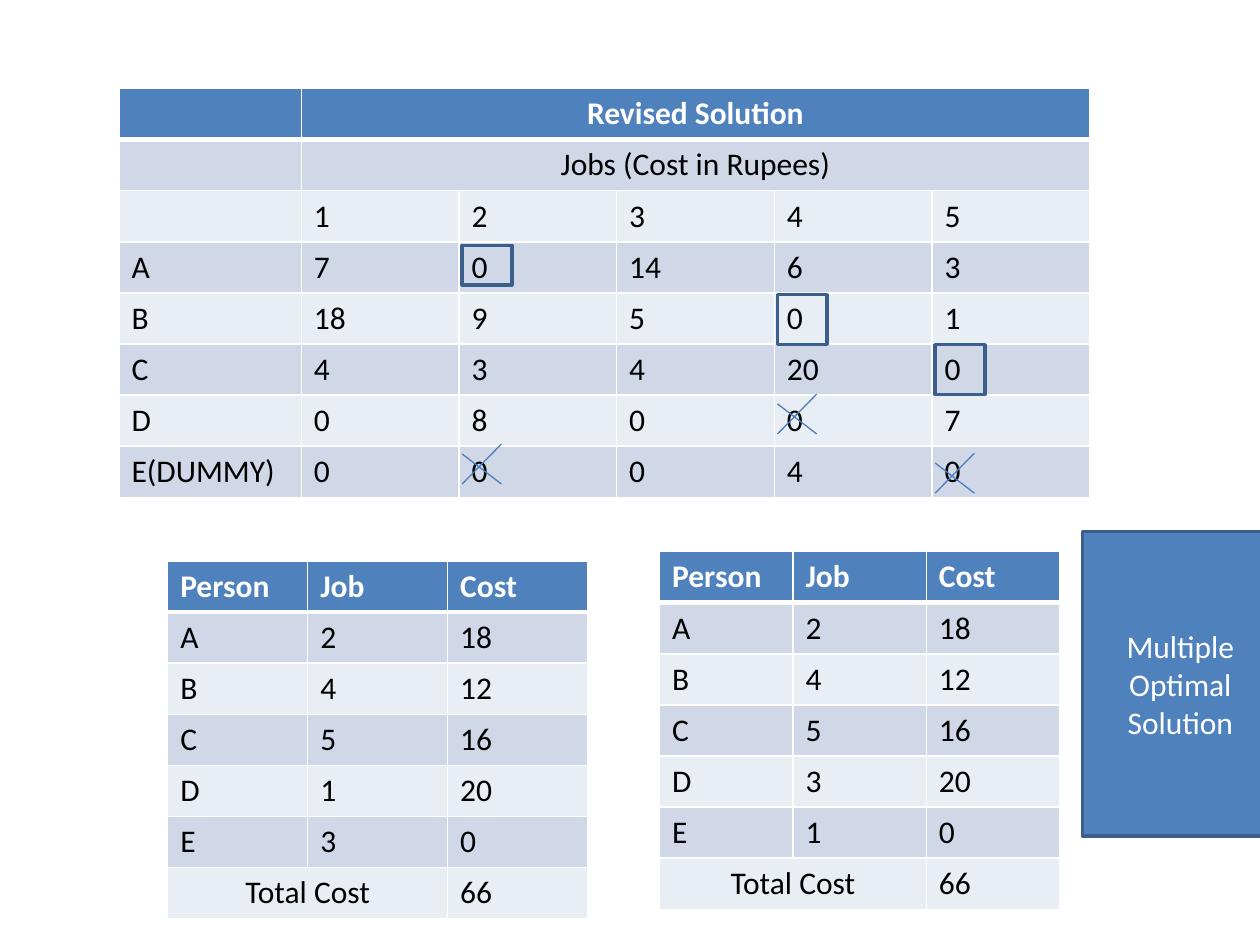
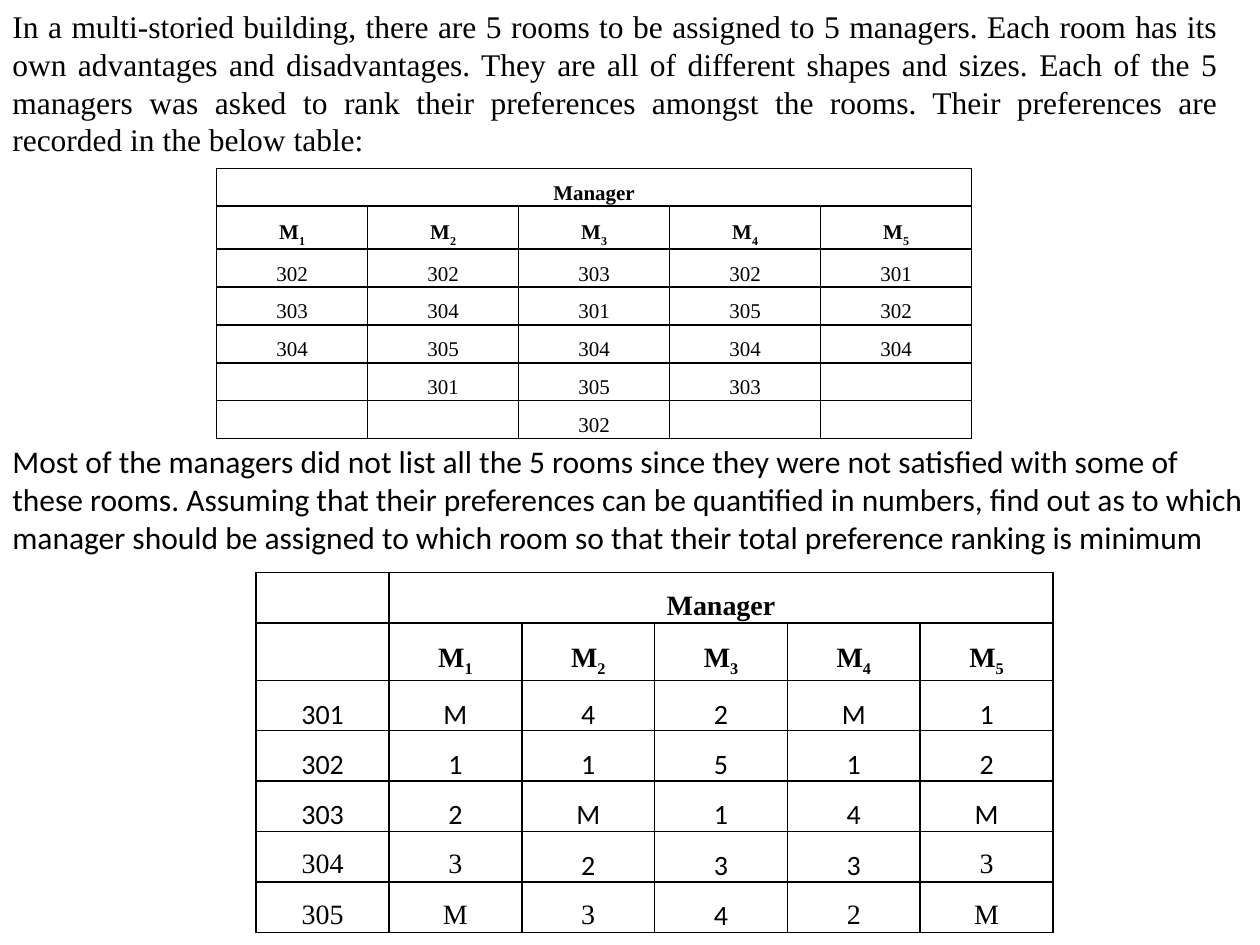
import dataclasses

import lxml.etree
import pptx
import pptx.dml.color
import pptx.enum.shapes
import pptx.enum.text
import pptx.oxml.ns
import pptx.util

Pt = pptx.util.Pt
ALIGN = pptx.enum.text.PP_ALIGN
MIDDLE = pptx.enum.text.MSO_ANCHOR.MIDDLE
qn = pptx.oxml.ns.qn


@dataclasses.dataclass(frozen=True)
class Theme:
    """Colours, fonts and type sizes of the deck."""
    accent: str = "4F81BD"
    accent_line: str = "3A5F8C"
    cross_line: str = "4B7EBC"
    bands: tuple = ("D0D8E8", "E9EDF4")
    white: str = "FFFFFF"
    ink: str = "000000"
    sans: str = "Calibri"
    serif: str = "Times New Roman"
    body: int = 18
    costs: int = 16
    preferences: int = 12


THEME = Theme()


def rgb(colour):
    """Return the colour object for a hex string."""
    return pptx.dml.color.RGBColor.from_string(colour)


def add_span(para, text, size, font, colour=THEME.ink, bold=False, baseline=0):
    """Add one formatted run to a paragraph."""
    span = para.add_run()
    span.text = text
    span.font.size = Pt(size)
    span.font.name = font
    span.font.bold = bold
    span.font.color.rgb = rgb(colour)
    if baseline:
        span._r.get_or_add_rPr().set("baseline", str(baseline))


def add_textbox(page, box, text, font, align, anchor=pptx.enum.text.MSO_ANCHOR.TOP):
    """Place a wrapped body paragraph in a box."""
    frame = page.shapes.add_textbox(*map(Pt, box)).text_frame
    frame.word_wrap = True
    frame.auto_size = pptx.enum.text.MSO_AUTO_SIZE.SHAPE_TO_FIT_TEXT
    frame.vertical_anchor = anchor
    para = frame.paragraphs[0]
    para.alignment = align
    add_span(para, text, THEME.body, font)


def border_cell(cell, colour, top=1, bottom=1):
    """Draw the four borders of a table cell."""
    properties = cell._tc.get_or_add_tcPr()
    for side, width in (("L", 1), ("R", 1), ("T", top), ("B", bottom)):
        line = lxml.etree.SubElement(properties, qn(f"a:ln{side}"), w=str(Pt(width)))
        fill = lxml.etree.SubElement(line, qn("a:solidFill"))
        lxml.etree.SubElement(fill, qn("a:srgbClr"), val=colour)


def add_grid(page, left, top, columns, rows):
    """Add a plain table with the given column widths and row heights."""
    box = (left, top, sum(columns), sum(rows))
    table = page.shapes.add_table(len(rows), len(columns), *map(Pt, box)).table
    table.first_row = table.horz_banding = False
    for column, width in zip(table.columns, columns):
        column.width = Pt(width)
    for row, height in zip(table.rows, rows):
        row.height = Pt(height)
    return table


def add_banded_table(page, left, top, columns, cells, merges, row_height=29.2):
    """Build a blue-headed banded table; each merge is row, first and last column."""
    table = add_grid(page, left, top, columns, [row_height] * len(cells))
    centred = {(row, first) for row, first, last in merges}
    for r, texts in enumerate(cells):
        for c, text in enumerate(texts):
            cell = table.cell(r, c)
            header = r == 0
            border_cell(cell, THEME.white, 3 if r == 1 else 1, 3 if header else 1)
            cell.fill.solid()
            cell.fill.fore_color.rgb = rgb(THEME.accent if header else THEME.bands[(r - 1) % 2])
            para = cell.text_frame.paragraphs[0]
            if (r, c) in centred:
                para.alignment = ALIGN.CENTER
            if text:
                add_span(para, text, THEME.body, THEME.sans,
                         THEME.white if header else THEME.ink, header)
    for row, first, last in merges:
        table.cell(row, first).merge(table.cell(row, last))


def add_ruled_table(page, left, top, columns, rows, cells, size, merge, sans_cells=()):
    """Build a black-ruled table whose two header rows are bold."""
    table = add_grid(page, left, top, columns, rows)
    for r, texts in enumerate(cells):
        for c, text in enumerate(texts):
            cell = table.cell(r, c)
            border_cell(cell, THEME.ink)
            cell.fill.background()
            cell.margin_left = cell.margin_right = Pt(5)
            cell.margin_top = cell.margin_bottom = 0
            cell.vertical_anchor = MIDDLE
            para = cell.text_frame.paragraphs[0]
            para.alignment = ALIGN.CENTER
            para.line_spacing = 1.5
            font = THEME.sans if (r, c) in sans_cells else THEME.serif
            if not text:
                lxml.etree.SubElement(para._p, qn("a:endParaRPr"), sz=str(size * 100))
                continue
            stem, subscript = text if isinstance(text, tuple) else (text, "")
            add_span(para, stem, size, font, bold=r < 2)
            if subscript:
                add_span(para, subscript, size, font, bold=True, baseline=-25000)
    table.cell(0, merge[0]).merge(table.cell(0, merge[1]))


def add_box(page, box, fill=None):
    """Add an outlined rectangle, filled or hollow."""
    shape = page.shapes.add_shape(pptx.enum.shapes.MSO_SHAPE.RECTANGLE, *map(Pt, box))
    shape.shadow.inherit = False
    shape.line.color.rgb = rgb(THEME.accent_line)
    shape.line.width = Pt(2)
    if fill:
        shape.fill.solid()
        shape.fill.fore_color.rgb = rgb(fill)
    else:
        shape.fill.background()
    return shape


def add_cross(page, left, top, width=22.4, height=22.8, drop=5.6):
    """Strike out a zero with two grouped lines."""
    group = page.shapes.add_group_shape()
    right, bottom = left + width, top + height
    for ends in ((left, top + drop, right, bottom), (right, top, left, bottom)):
        line = group.shapes.add_connector(pptx.enum.shapes.MSO_CONNECTOR.STRAIGHT, *map(Pt, ends))
        line.line.color.rgb = rgb(THEME.cross_line)
        line.line.width = Pt(0.75)
        lxml.etree.SubElement(line._element.spPr, qn("a:effectLst"))


def add_revised_solution(page, left, top):
    """Build the revised matrix with its boxed and struck-out zeros."""
    label, job, row_height = 104.2, 90.1, 29.2
    costs = {"A": (7, 0, 14, 6, 3), "B": (18, 9, 5, 0, 1), "C": (4, 3, 4, 20, 0),
             "D": (0, 8, 0, 0, 7), "E(DUMMY)": (0, 0, 0, 4, 0)}
    cells = [["", "Revised Solution"] + [""] * 4,
             ["", "Jobs (Cost in Rupees)"] + [""] * 4,
             ["", *"12345"]]
    cells += [[person, *map(str, values)] for person, values in costs.items()]
    add_banded_table(page, left, top, [label] + [job] * 5, cells, [(0, 1, 5), (1, 1, 5)], row_height)

    def zero_left(column):
        return left + label + (column - 1) * job + 1.8

    for row, column, inset, height in ((3, 2, 2, 22.6), (4, 4, 1, 28.4), (5, 5, 0.4, 28.4)):
        add_box(page, (zero_left(column), top + row * row_height + inset, 28.4, height))
    for row, column, inset in ((6, 4, -0.6), (7, 2, -1.2), (7, 5, 4)):
        add_cross(page, zero_left(column), top + row * row_height + inset)


def add_assignment(page, left, top, column, jobs):
    """Build one optimal assignment with its total cost."""
    cells = [["Person", "Job", "Cost"]]
    cells += [list(row) for row in zip("ABCDE", jobs, ("18", "12", "16", "20", "0"))]
    cells.append(["Total Cost", "", "66"])
    add_banded_table(page, left, top, [column] * 3, cells, [(6, 0, 1)])


def add_callout(page, box, text):
    """Add the filled callout with centred text."""
    frame = add_box(page, box, THEME.accent).text_frame
    frame.word_wrap = True
    frame.vertical_anchor = MIDDLE
    para = frame.paragraphs[0]
    para.alignment = ALIGN.CENTER
    add_span(para, text, THEME.body, THEME.sans, THEME.white)


def build_solution_page(page):
    """Lay out the revised solution and both optimal assignments."""
    add_revised_solution(page, 68, 50.6)
    add_assignment(page, 95.8, 320.6, 80, "24513")
    add_assignment(page, 376.9, 315.2, 76.2, "24531")
    add_callout(page, (618.5, 303.6, 112, 174.2), "Multiple Optimal Solution")


def build_problem_page(page):
    """Lay out the room assignment problem and its ranking tables."""
    managers = [("M", n) for n in "12345"]
    heading = ["Manager"] + [""] * 4
    add_textbox(
        page, (0, 0, 703.4, 94.4),
        "In a multi-storied building, there are 5 rooms to be assigned to 5 managers. "
        "Each room has its own advantages and disadvantages. They are all of different "
        "shapes and sizes. Each of the 5 managers was asked to rank their preferences "
        "amongst the rooms. Their preferences are recorded in the below table:",
        THEME.serif, ALIGN.JUSTIFY, MIDDLE)
    preferences = [heading, managers,
                   ["302", "302", "303", "302", "301"],
                   ["303", "304", "301", "305", "302"],
                   ["304", "305", "304", "304", "304"],
                   ["", "301", "305", "303", ""],
                   ["", "", "302", "", ""]]
    add_ruled_table(page, 123.8, 96.2, [86.3] * 5, [21.6, 24.6] + [21.6] * 5,
                    preferences, THEME.preferences, (0, 4))
    add_textbox(
        page, (0, 249.1, 720, 72.7),
        "Most of the managers did not list all the 5 rooms since they were not satisfied "
        "with some of these rooms. Assuming that their preferences can be quantified in "
        "numbers, find out as to which manager should be assigned to which room so that "
        "their total preference ranking is minimum",
        THEME.sans, ALIGN.LEFT)
    ranks = {"301": "M42M1", "302": "11512", "303": "2M14M", "304": "32333", "305": "M342M"}
    costs = [["", *heading], ["", *managers]]
    costs += [[room, *row] for room, row in ranks.items()]
    sans_cells = {(r, c) for r in (2, 3, 4) for c in range(6)}
    sans_cells |= {(5, 2), (5, 3), (5, 4), (6, 3)}
    add_ruled_table(page, 146.4, 327.2, [75.9] * 6, [28.7, 32.6] + [28.7] * 5,
                    costs, THEME.costs, (1, 5), sans_cells)


def main():
    """Build and save the deck."""
    deck = pptx.Presentation()
    deck.slide_width, deck.slide_height = Pt(720), Pt(540)
    for build in (build_solution_page, build_problem_page):
        build(deck.slides.add_slide(deck.slide_layouts[6]))
    deck.save("out.pptx")


if __name__ == "__main__":
    main()
